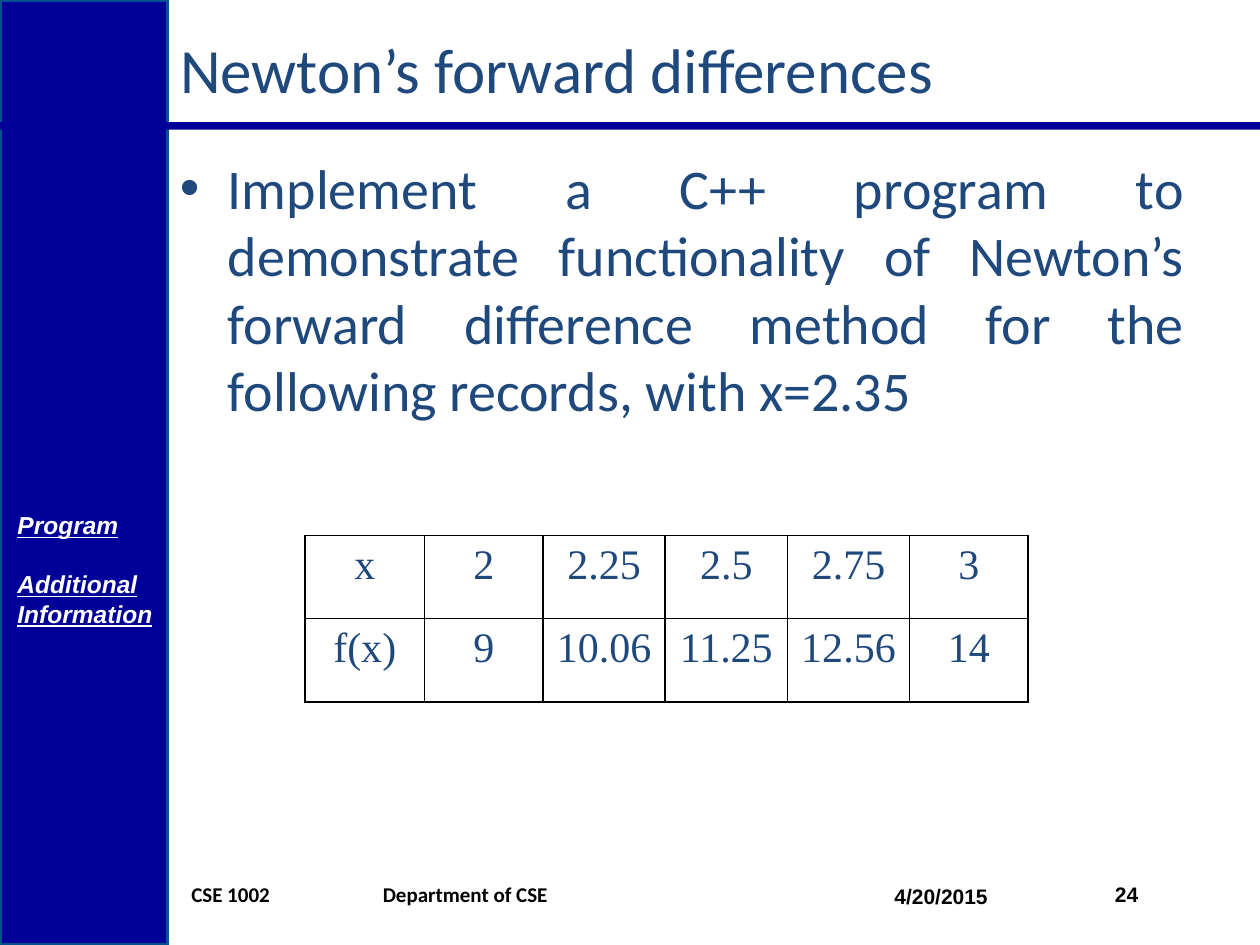
from lxml.etree import SubElement
from pptx import Presentation
from pptx.dml.color import RGBColor
from pptx.enum.shapes import MSO_SHAPE
from pptx.enum.text import MSO_ANCHOR, PP_ALIGN
from pptx.oxml.ns import qn
from pptx.util import Inches, Pt

COLORS = {name: RGBColor.from_string(value) for name, value in {
    "band": "000099", "edge": "00538E", "text": "1F497D",
    "black": "000000", "white": "FFFFFF"}.items()}


def set_font(paragraph, name, size, color, bold=False):
    font = paragraph.font
    font.name, font.size, font.bold = name, Pt(size), bold
    font.color.rgb = COLORS[color]


def add_text(left, top, width, height, text):
    """Add a wrapping text box and return its paragraphs, one per line."""
    frame = slide.shapes.add_textbox(
        Inches(left), Inches(top), Inches(width), Inches(height)).text_frame
    frame.word_wrap = True
    frame.text = text
    return frame.paragraphs


prs = Presentation()
prs.slide_width, prs.slide_height = Inches(10), Inches(7.5)
slide = prs.slides.add_slide(prs.slide_layouts[5])

# Sidebar and rule under the title
for left, top, width, height, edge in [(0, 0, 1.33, 7.5, "edge"),
                                       (0, 0.97, 10, 0.06, None)]:
    band = slide.shapes.add_shape(MSO_SHAPE.RECTANGLE, Inches(left), Inches(top),
                                  Inches(width), Inches(height))
    band.shadow.inherit = False
    band.fill.solid()
    band.fill.fore_color.rgb = COLORS["band"]
    if edge:
        band.line.color.rgb = COLORS[edge]
        band.line.width = Pt(2)
    else:
        band.line.fill.background()

# Title
title = slide.shapes.title
title.left, title.top = Inches(1.33), Inches(0.17)
title.width, title.height = Inches(7.83), Inches(0.75)
title.text_frame.text = "Newton’s forward differences"
title.text_frame.vertical_anchor = MSO_ANCHOR.MIDDLE
heading = title.text_frame.paragraphs[0]
heading.alignment = PP_ALIGN.LEFT
set_font(heading, "Calibri", 36, "text")

# Task
task = add_text(1.33, 1.17, 8.17, 5.53,
                "Implement a C++ program to demonstrate functionality of Newton’s "
                "forward difference method for the following records, with x=2.35")[0]
task.alignment = PP_ALIGN.JUSTIFY
set_font(task, "Calibri", 32, "text")
task_props = task._p.get_or_add_pPr()
task_props.set("marL", str(Inches(0.38)))
task_props.set("indent", str(Inches(-0.38)))
SubElement(task_props, qn("a:buFont"), typeface="Arial")
SubElement(task_props, qn("a:buChar"), char="•")
# Bullet elements come before the default run properties
task_props.append(task_props.find(qn("a:defRPr")))

# Records
records = [["x", "2", "2.25", "2.5", "2.75", "3"],
           ["f(x)", "9", "10.06", "11.25", "12.56", "14"]]
column_widths = [0.95, 0.94, 0.97, 0.97, 0.97, 0.94]
table = slide.shapes.add_table(len(records), len(column_widths), Inches(2.42), Inches(4.25),
                               Inches(sum(column_widths)), Inches(1.32)).table
table.first_row = table.horz_banding = False
for column, width in zip(table.columns, column_widths):
    column.width = Inches(width)
for row, values in zip(table.rows, records):
    row.height = Inches(0.66)
    for cell, value in zip(row.cells, values):
        cell.text = value
        cell.margin_left = cell.margin_right = Inches(0.07)
        cell.margin_top = cell.margin_bottom = 0
        entry = cell.text_frame.paragraphs[0]
        entry.alignment = PP_ALIGN.CENTER
        entry.line_spacing = 1.15
        entry.space_before = Pt(1.9)
        set_font(entry, "Times New Roman", 24, "text")
        cell_props = cell._tc.get_or_add_tcPr()
        for side in ("lnL", "lnR", "lnT", "lnB"):
            border = SubElement(cell_props, qn(f"a:{side}"), w=str(Pt(1)))
            border_fill = SubElement(border, qn("a:solidFill"))
            SubElement(border_fill, qn("a:srgbClr"), val=str(COLORS["black"]))
        cell.fill.background()

# Footer
for left, top, width, text, font_name in [
        (7, 6.96, 1.75, "4/20/2015", "Arial"),
        (1.42, 6.95, 4.83, "CSE 1002\tDepartment of CSE", "Calibri"),
        (8.75, 6.95, 0.75, "24", "Arial")]:
    footer = add_text(left, top, width, 0.4, text)[0]
    set_font(footer, font_name, 12, "black", bold=True)
    if "\t" in text:
        footer_props = footer._p.get_or_add_pPr()
        tabs = SubElement(footer_props, qn("a:tabLst"))
        SubElement(tabs, qn("a:tab"), pos=str(Inches(1.52)), algn="l")
        footer_props.append(footer_props.find(qn("a:defRPr")))

# Sidebar entries
sidebar_entries = add_text(-0.02, 4, 1.35, 1.04, "Program\nAdditional Information")
for entry in sidebar_entries:
    set_font(entry, "Arial", 14, "white", bold=True)
    entry.font.italic = entry.font.underline = True
    entry._p.get_or_add_pPr().set("marL", str(Inches(0.06)))
sidebar_entries[1].space_before = Pt(17)

prs.save("out.pptx")
